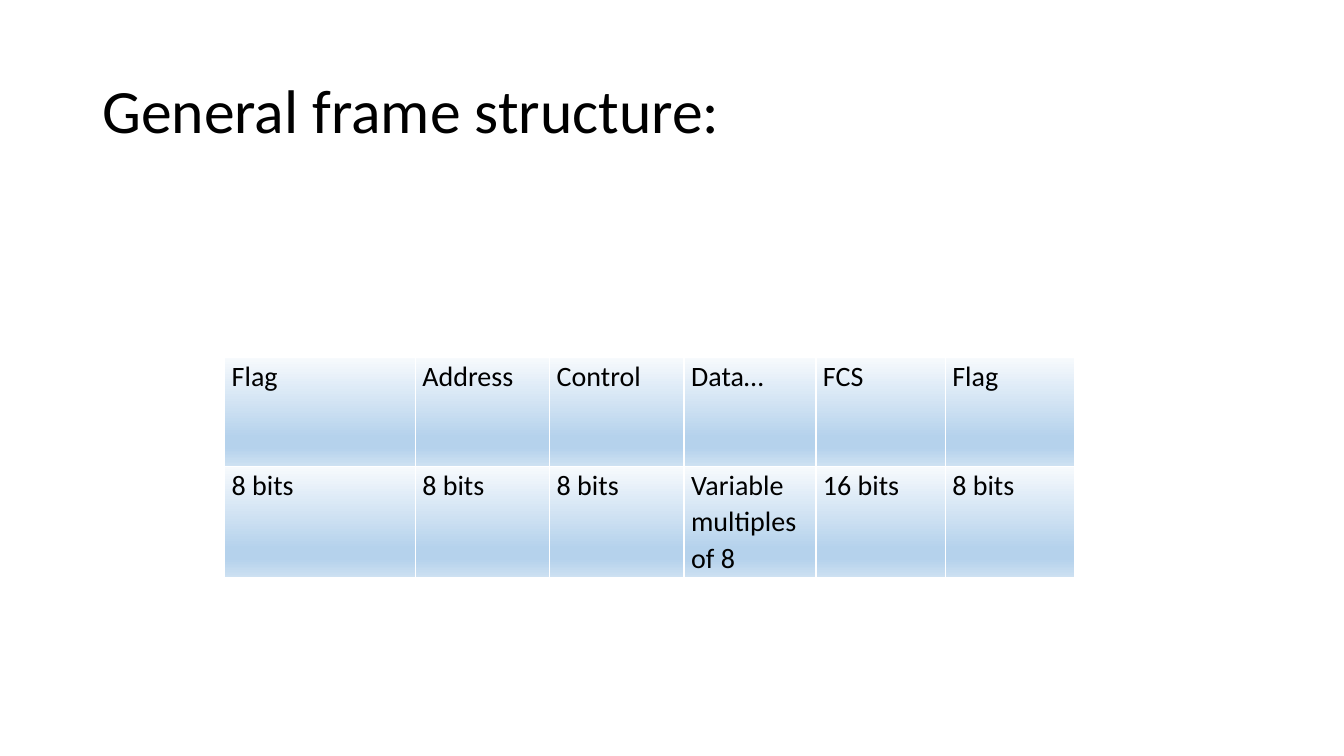
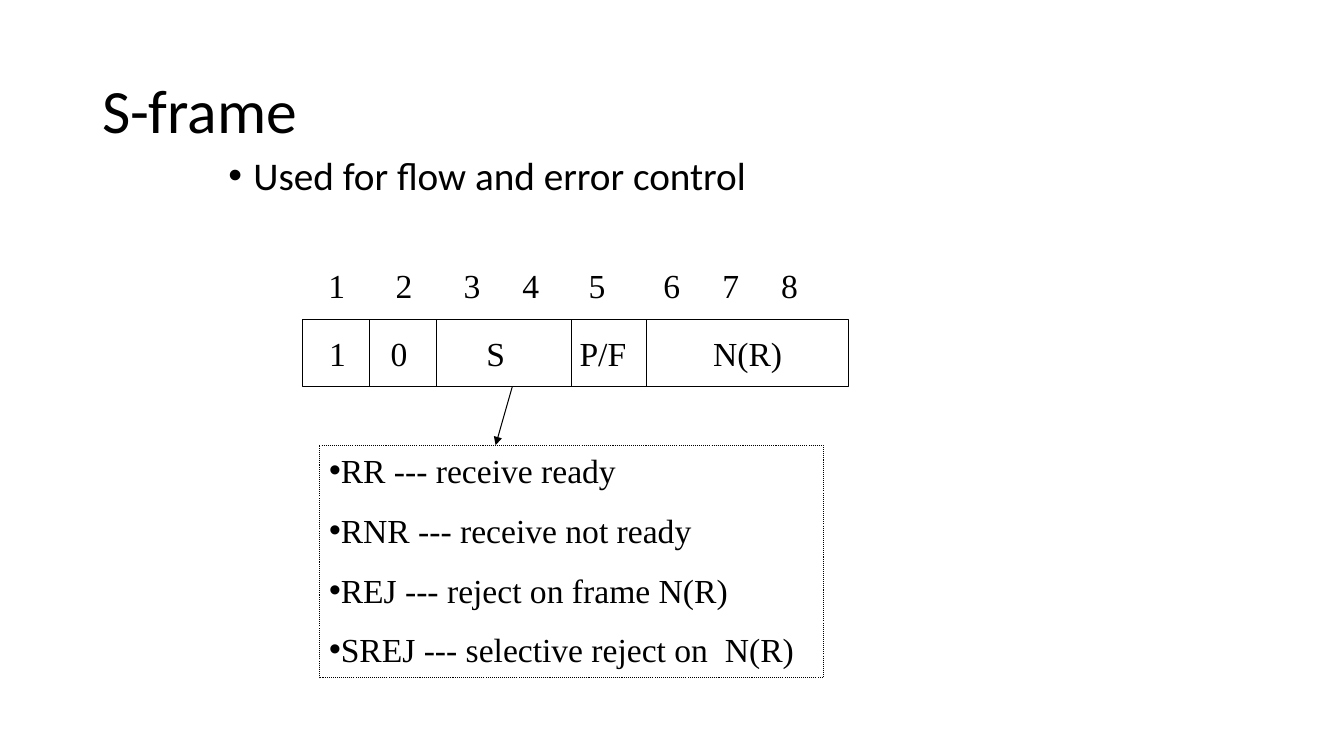
from dataclasses import dataclass
from typing import Optional

from lxml.etree import SubElement
from pptx import Presentation
from pptx.dml.color import RGBColor
from pptx.enum.dml import MSO_LINE
from pptx.enum.shapes import MSO_CONNECTOR, MSO_SHAPE
from pptx.enum.text import MSO_ANCHOR, PP_ALIGN
from pptx.oxml import parse_xml
from pptx.oxml.ns import nsdecls, qn
from pptx.util import Inches, Pt

COLS, ROWS = 160, 90  # the slide grid, twelve units to the inch


@dataclass(frozen=True)
class Theme:
    ink: str = "000000"
    rule: str = "FFFFFF"
    cell_stops: tuple = ((0, "F7FAFD"), (74, "B5D2EC"), (83, "B5D2EC"), (100, "CEE1F2"))
    sans: str = "Calibri"
    serif: str = "Times New Roman"
    title: int = 44
    body: int = 28
    diagram: int = 24
    table: int = 20
    line: float = 0.75


@dataclass(frozen=True)
class Box:
    left: float
    top: float
    width: float
    height: float

    def place(self) -> tuple:
        return tuple(u(n) for n in (self.left, self.top, self.width, self.height))


@dataclass(frozen=True)
class Field:
    text: str
    left: float
    width: float
    align: PP_ALIGN = PP_ALIGN.CENTER
    inset: float = 0.1


T = Theme()
TITLE = Box(11, 4.8, 138, 17.4)

# Frame table
TABLE = Box(26.75, 42.5, 101.2, 26.3)
TABLE_COLS = (22.7, 16, 16, 15.7, 15.4, 15.4)
TABLE_ROWS = (13, 13.3)
FRAME = (
    ("Flag", "Address", "Control", "Data…", "FCS", "Flag"),
    ("8 bits", "8 bits", "8 bits", "Variable\nmultiples of 8", "16 bits", "8 bits"),
)

# Control field diagram
STRIP = Box(36, 38, 65, 8)
DIVIDERS = (44, 52, 68, 77)
BIT_CENTRES = (40.1, 48.1, 56.2, 63.2, 71.1, 80, 87, 94)
FIELDS = (
    Field("1", 38, 5, PP_ALIGN.LEFT),
    Field("0", 44, 7),
    Field("S", 51, 16),
    Field("P/F", 69, 7, PP_ALIGN.LEFT, 0),
    Field("N(R)", 78, 22),
)
LEGEND = Box(38, 53, 60, 27.7)
CODES = (
    "RR --- receive ready",
    "RNR --- receive not ready",
    "REJ --- reject on frame N(R)",
    "SREJ --- selective reject on  N(R)",
)


def u(n: float) -> int:
    return Inches(n / 12)


def style(p, size: float, face: str) -> None:
    for r in p.runs:
        r.font.size, r.font.name, r.font.bold = Pt(size), face, False
        r.font.color.rgb = RGBColor.from_string(T.ink)


def bullet(p, indent: float = 0) -> None:
    pPr = p._p.get_or_add_pPr()
    pPr.set("marL", str(Inches(indent)))
    pPr.set("indent", str(-Inches(indent)))
    SubElement(pPr, qn("a:buFont")).set("typeface", "Arial")
    SubElement(pPr, qn("a:buChar")).set("char", "•")


def add_text(s, box: Box, text: str, size: float, face: str,
             align: PP_ALIGN = PP_ALIGN.LEFT, inset: float = 0.1,
             anchor: MSO_ANCHOR = MSO_ANCHOR.TOP, spacing: Optional[float] = None):
    tf = s.shapes.add_textbox(*box.place()).text_frame
    tf.word_wrap, tf.vertical_anchor = True, anchor
    tf.margin_left = tf.margin_right = Inches(inset)
    tf.text = text
    p = tf.paragraphs[0]
    p.alignment, p.line_spacing = align, spacing
    style(p, size, face)
    return p


def add_rect(s, box: Box):
    sp = s.shapes.add_shape(MSO_SHAPE.RECTANGLE, *box.place())
    sp.shadow.inherit = False
    sp.fill.background()
    sp.line.color.rgb = RGBColor.from_string(T.ink)
    sp.line.width = Pt(T.line)
    return sp


def add_line(s, start: tuple, end: tuple, arrow: bool = False) -> None:
    c = s.shapes.add_connector(MSO_CONNECTOR.STRAIGHT, *(u(n) for n in start + end))
    c.line.color.rgb = RGBColor.from_string(T.ink)
    c.line.width = Pt(T.line)
    if arrow:
        SubElement(c.line._get_or_add_ln(), qn("a:tailEnd")).set("type", "triangle")
    SubElement(c._element.spPr, qn("a:effectLst"))


def paint_cell(cell) -> None:
    tcPr = cell._tc.get_or_add_tcPr()
    for side in ("lnL", "lnR", "lnT", "lnB"):
        tcPr.append(parse_xml(
            f'<a:{side} {nsdecls("a")} w="{Pt(1)}"><a:solidFill>'
            f'<a:srgbClr val="{T.rule}"/></a:solidFill></a:{side}>'))
    stops = "".join(f'<a:gs pos="{pos * 1000}"><a:srgbClr val="{color}"/></a:gs>'
                    for pos, color in T.cell_stops)
    tcPr.append(parse_xml(
        f'<a:gradFill {nsdecls("a")} rotWithShape="1"><a:gsLst>{stops}</a:gsLst>'
        f'<a:lin ang="{90 * 60000}" scaled="0"/></a:gradFill>'))


def new_slide(prs, title: str):
    s = prs.slides.add_slide(prs.slide_layouts[6])
    add_text(s, TITLE, title, T.title, T.sans, anchor=MSO_ANCHOR.MIDDLE, spacing=0.9)
    return s


def frame_slide(prs) -> None:
    s = new_slide(prs, "General frame structure:")
    table = s.shapes.add_table(len(FRAME), len(TABLE_COLS), *TABLE.place()).table
    table.first_row = table.horz_banding = False
    for col, width in zip(table.columns, TABLE_COLS):
        col.width = u(width)
    for row, height, texts in zip(table.rows, TABLE_ROWS, FRAME):
        row.height = u(height)
        for cell, text in zip(row.cells, texts):
            cell.margin_left = cell.margin_right = Inches(0.07)
            cell.margin_top = cell.margin_bottom = 0
            cell.text_frame.text = text
            for p in cell.text_frame.paragraphs:
                p.line_spacing = 1.07
                style(p, T.table, T.sans)
            paint_cell(cell)


def s_frame_slide(prs) -> None:
    s = new_slide(prs, "S-frame")
    p = add_text(s, Box(26, 18, 101, 7), "Used for flow and error control",
                 T.body, T.sans, spacing=0.9)
    bullet(p, 0.25)

    # Bit numbers on centred tab stops
    numbers = Box(34, 31, 69, 6.1)
    text = "".join(f"\t{n}" for n in range(1, len(BIT_CENTRES) + 1))
    p = add_text(s, numbers, text, T.diagram, T.serif)
    tabs = SubElement(p._p.get_or_add_pPr(), qn("a:tabLst"))
    for x in BIT_CENTRES:
        tab = SubElement(tabs, qn("a:tab"))
        tab.set("pos", str(u(x - numbers.left) - Inches(0.1)))
        tab.set("algn", "ctr")

    # Strip of fields
    add_rect(s, STRIP)
    bottom = STRIP.top + STRIP.height
    for x in DIVIDERS:
        add_line(s, (x, STRIP.top), (x, bottom))
    for f in FIELDS:
        add_text(s, Box(f.left, STRIP.top + 1, f.width, 6.1), f.text,
                 T.diagram, T.serif, f.align, f.inset)

    # Meanings of S
    tf = add_rect(s, LEGEND).text_frame
    tf.word_wrap, tf.vertical_anchor = True, MSO_ANCHOR.TOP
    tf.text = "\n".join(CODES)
    for i, p in enumerate(tf.paragraphs):
        p.alignment = PP_ALIGN.LEFT
        if i:
            p.space_before = Pt(13.8)
        bullet(p)
        style(p, T.diagram, T.serif)
    s.shapes[-1].line.dash_style = MSO_LINE.ROUND_DOT
    add_line(s, (61, bottom), (59, LEGEND.top), arrow=True)


def main() -> None:
    prs = Presentation()
    prs.slide_width, prs.slide_height = u(COLS), u(ROWS)
    frame_slide(prs)
    s_frame_slide(prs)
    prs.save("out.pptx")


if __name__ == "__main__":
    main()
